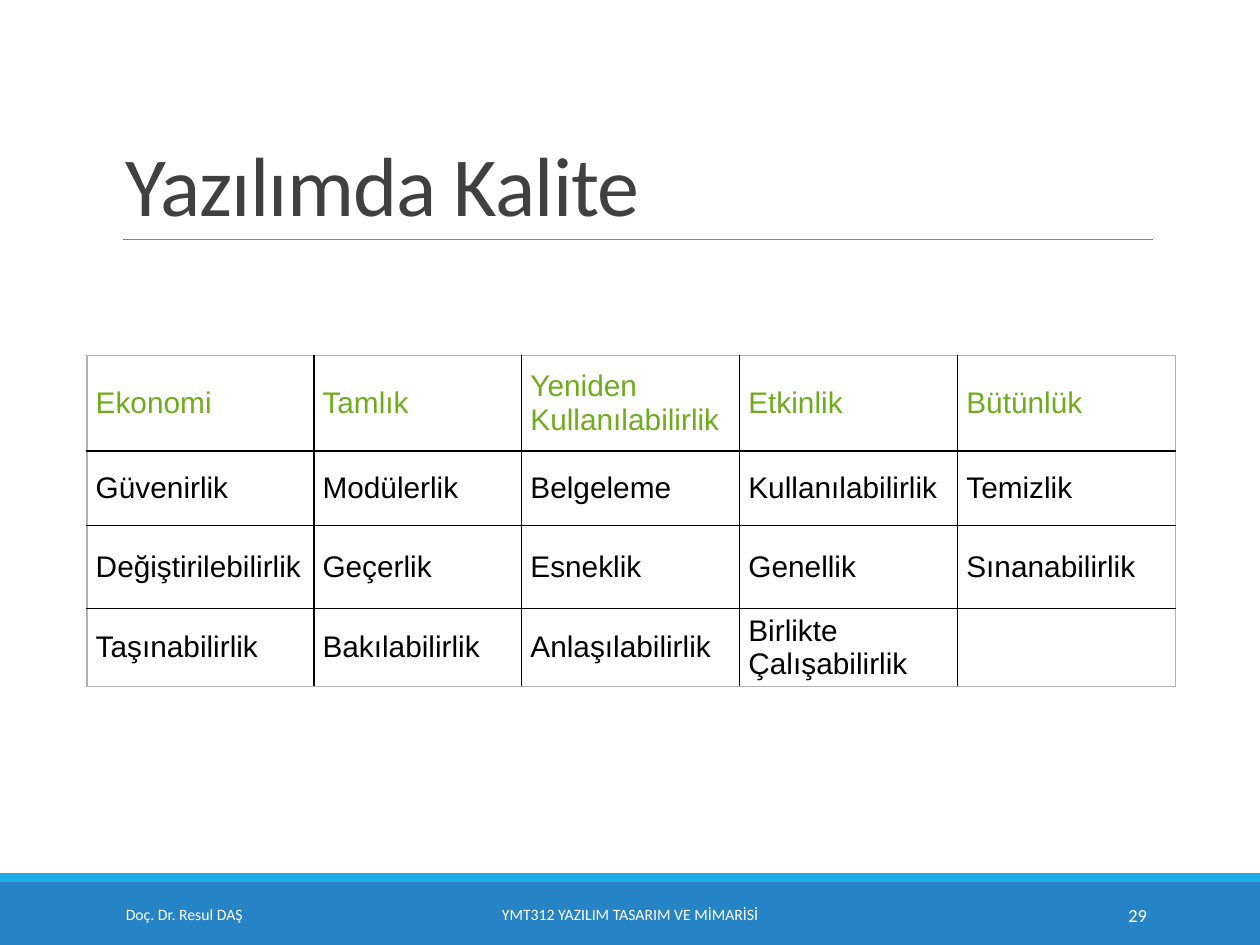
"""Build the software quality slide with its table of quality attributes."""
from dataclasses import dataclass

from lxml import etree
from pptx import Presentation
from pptx.dml.color import RGBColor
from pptx.enum.shapes import MSO_CONNECTOR, MSO_SHAPE
from pptx.enum.text import MSO_ANCHOR, PP_ALIGN
from pptx.oxml.ns import qn
from pptx.util import Inches, Pt

STRAIGHT = MSO_CONNECTOR.STRAIGHT
RECTANGLE = MSO_SHAPE.RECTANGLE
MIDDLE, BOTTOM = MSO_ANCHOR.MIDDLE, MSO_ANCHOR.BOTTOM
LEFT, CENTER, RIGHT = PP_ALIGN.LEFT, PP_ALIGN.CENTER, PP_ALIGN.RIGHT


@dataclass(frozen=True)
class Theme:
    body_font: str = "Arial"
    heading_font: str = "Calibri"
    title_size: float = 48
    cell_size: float = 17
    footer_size: float = 9
    number_size: float = 10.5
    title: str = "404040"
    rule: str = "808080"
    header: str = "6EAC1C"
    text: str = "000000"
    grid: str = "000000"
    frame: str = "B2B2B2"
    footer: str = "2683C6"
    accent: str = "1CADE4"
    light: str = "FFFFFF"


@dataclass(frozen=True)
class Band:
    top: float
    height: float
    color: str


@dataclass(frozen=True)
class Label:
    text: str
    left: float
    top: float
    width: float
    height: float
    size: float
    color: str
    align: PP_ALIGN = LEFT
    anchor: MSO_ANCHOR = MIDDLE
    line_spacing: float = 1.0
    tracking: int = 0


THEME = Theme()
BANDS = (Band(7, 0.5, THEME.footer), Band(6.93, 0.07, THEME.accent))
LABELS = (
    Label("Yazılımda Kalite", 0.9, 0.31, 8.25, 1.59, THEME.title_size, THEME.title,
          anchor=BOTTOM, line_spacing=0.85, tracking=-50),
    Label("YMT312 YAZILIM TASARIM VE MİMARİSİ", 3.02, 7.06, 3.96, 0.4,
          THEME.footer_size, THEME.light, CENTER),
    Label("29", 8.12, 7.06, 1.08, 0.4, THEME.number_size, THEME.light, RIGHT),
    Label("Doç. Dr. Resul DAŞ", 0.9, 7.06, 2.03, 0.4, THEME.footer_size, THEME.light),
)
COLUMN_WIDTHS = (1.8, 1.65, 1.73, 1.73, 1.73)
ROW_HEIGHTS = (0.76, 0.59, 0.66, 0.62)
QUALITIES = (
    ("Ekonomi", "Tamlık", "Yeniden Kullanılabilirlik", "Etkinlik", "Bütünlük"),
    ("Güvenirlik", "Modülerlik", "Belgeleme", "Kullanılabilirlik", "Temizlik"),
    ("Değiştirilebilirlik", "Geçerlik", "Esneklik", "Genellik", "Sınanabilirlik"),
    ("Taşınabilirlik", "Bakılabilirlik", "Anlaşılabilirlik", "Birlikte Çalışabilirlik", ""),
)


def style_font(font, name: str, size: float, color: str) -> None:
    """Set the face, size and colour of a font."""
    font.name, font.size = name, Pt(size)
    font.color.rgb = RGBColor.from_string(color)


def add_band(page, band: Band) -> None:
    """Draw a full-width footer band."""
    shape = page.shapes.add_shape(RECTANGLE, 0, Inches(band.top), Inches(10), Inches(band.height))
    shape.shadow.inherit = False
    shape.fill.solid()
    shape.fill.fore_color.rgb = RGBColor.from_string(band.color)
    shape.line.fill.background()


def add_rule(page) -> None:
    """Draw the thin rule under the title."""
    rule = page.shapes.add_connector(STRAIGHT, Inches(0.98), Inches(1.9), Inches(9.15), Inches(1.9))
    rule.line.color.rgb = RGBColor.from_string(THEME.rule)
    rule.line.width = Pt(0.5)
    etree.SubElement(rule._element.spPr, qn("a:effectLst"))


def add_label(page, label: Label) -> None:
    """Write a single line of text in its box."""
    box = page.shapes.add_textbox(Inches(label.left), Inches(label.top),
                                  Inches(label.width), Inches(label.height))
    frame = box.text_frame
    frame.word_wrap = True
    frame.vertical_anchor = label.anchor
    para = frame.paragraphs[0]
    para.alignment, para.line_spacing = label.align, label.line_spacing
    span = para.add_run()
    span.text = label.text
    style_font(para.font, THEME.heading_font, label.size, label.color)
    if label.tracking:
        span._r.get_or_add_rPr().set("spc", str(label.tracking))


def set_borders(cell, row: int, column: int) -> None:
    """Give a cell dark grid lines and a grey outer frame."""
    outer_edges = {
        "a:lnL": column == 0,
        "a:lnR": column == len(COLUMN_WIDTHS) - 1,
        "a:lnT": row == 0,
        "a:lnB": row == len(ROW_HEIGHTS) - 1,
    }
    properties = cell._tc.get_or_add_tcPr()
    for index, (tag, is_outer) in enumerate(outer_edges.items()):
        border = etree.Element(qn(tag), w=str(Pt(1)))
        fill = etree.SubElement(border, qn("a:solidFill"))
        etree.SubElement(fill, qn("a:srgbClr"), val=THEME.frame if is_outer else THEME.grid)
        properties.insert(index, border)


def fill_cell(cell, text: str, row: int, column: int) -> None:
    """Write and format one table cell."""
    cell.text = text
    cell.vertical_anchor = MIDDLE
    cell.margin_left = cell.margin_right = Inches(0.07)
    cell.margin_top = cell.margin_bottom = Inches(0.04)
    cell.fill.background()
    color = THEME.text if row else THEME.header
    style_font(cell.text_frame.paragraphs[0].font, THEME.body_font, THEME.cell_size, color)
    set_borders(cell, row, column)


def add_quality_table(page) -> None:
    """Build the table of quality attributes."""
    table = page.shapes.add_table(
        len(ROW_HEIGHTS), len(COLUMN_WIDTHS), Inches(0.69), Inches(2.82),
        Inches(sum(COLUMN_WIDTHS)), Inches(sum(ROW_HEIGHTS))).table
    table.first_row = table.horz_banding = False
    for column, width in zip(table.columns, COLUMN_WIDTHS):
        column.width = Inches(width)
    for row, height in zip(table.rows, ROW_HEIGHTS):
        row.height = Inches(height)
    for row, names in enumerate(QUALITIES):
        for column, name in enumerate(names):
            fill_cell(table.cell(row, column), name, row, column)


def main() -> None:
    """Assemble and save the deck."""
    deck = Presentation()
    deck.slide_width, deck.slide_height = Inches(10), Inches(7.5)
    page = deck.slides.add_slide(deck.slide_layouts[6])
    for band in BANDS:
        add_band(page, band)
    add_rule(page)
    add_quality_table(page)
    for label in LABELS:
        add_label(page, label)
    deck.save("out.pptx")


if __name__ == "__main__":
    main()
